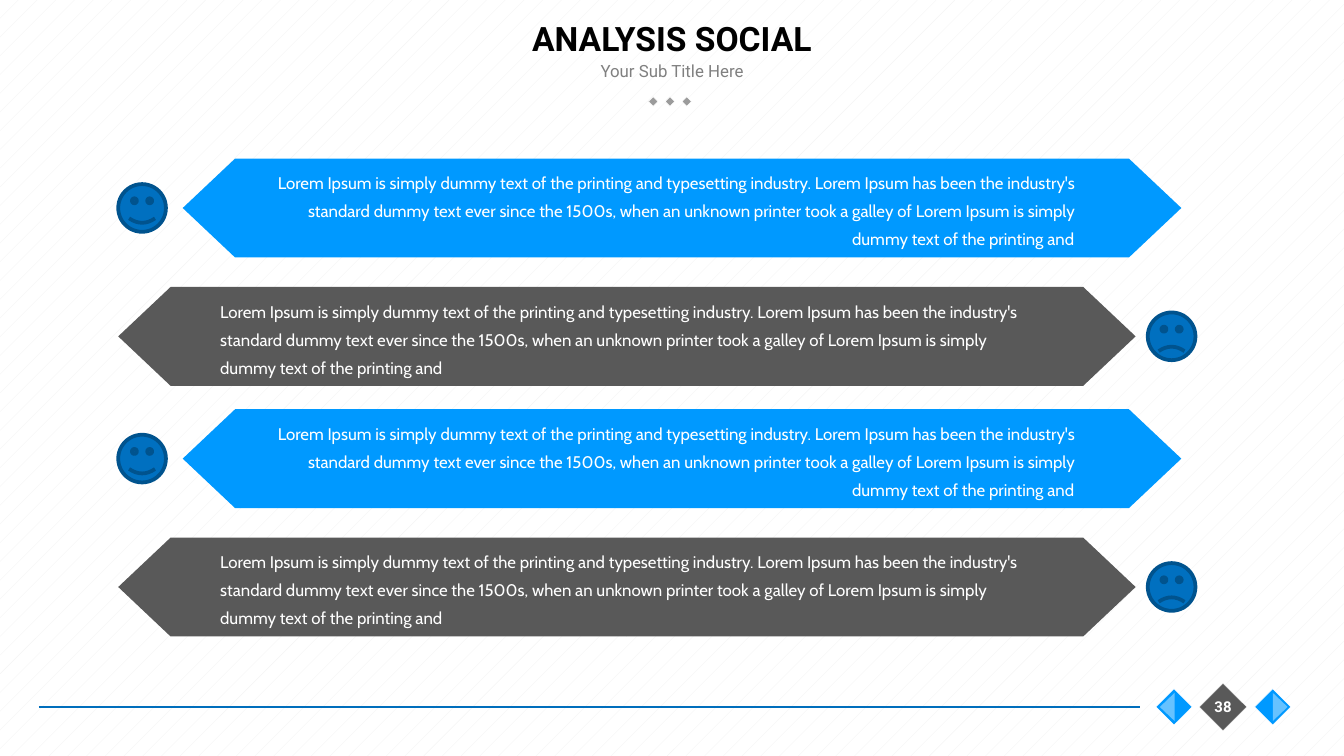
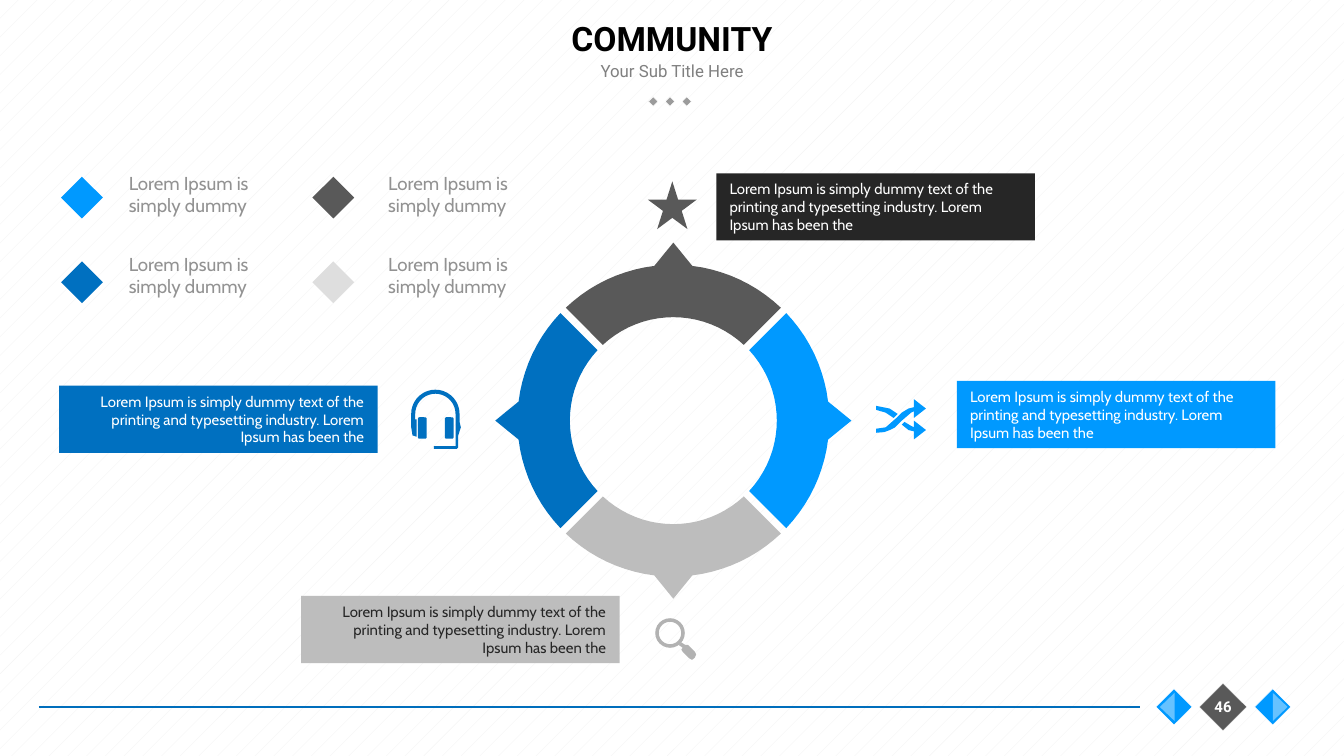
"""Build the social analysis and community slides on a grid of 100 columns of square cells."""
from math import cos, radians, sin

from lxml import etree
from pptx import Presentation
from pptx.dml.color import RGBColor
from pptx.enum.dml import MSO_PATTERN
from pptx.enum.shapes import MSO_CONNECTOR, MSO_SHAPE
from pptx.enum.text import MSO_ANCHOR, MSO_AUTO_SIZE, PP_ALIGN
from pptx.oxml.ns import qn
from pptx.util import Inches, Pt

RECT, TRIANGLE = MSO_SHAPE.RECTANGLE, MSO_SHAPE.FLOWCHART_EXTRACT
ROUNDED, DONUT = MSO_SHAPE.ROUNDED_RECTANGLE, MSO_SHAPE.DONUT
STAR, SMILEY = MSO_SHAPE.STAR_5_POINT, MSO_SHAPE.SMILEY_FACE
LEFT, CENTER, RIGHT = PP_ALIGN.LEFT, PP_ALIGN.CENTER, PP_ALIGN.RIGHT
TOP, MIDDLE = MSO_ANCHOR.TOP, MSO_ANCHOR.MIDDLE

WHITE = RGBColor(0xFF, 0xFF, 0xFF)
BLACK = RGBColor(0x00, 0x00, 0x00)
STRIPE = RGBColor(0xF2, 0xF2, 0xF2)
DOT = RGBColor(0x9B, 0x9B, 0x9B)
SUBTITLE = RGBColor(0x80, 0x80, 0x80)
RULE = RGBColor(0x00, 0x6E, 0xBC)
BLUE = RGBColor(0x00, 0x99, 0xFF)
SKY = RGBColor(0x66, 0xC2, 0xFF)
DEEP = RGBColor(0x00, 0x70, 0xC0)
NAVY = RGBColor(0x00, 0x53, 0x8E)
GRAY = RGBColor(0x59, 0x59, 0x59)
CHARCOAL = RGBColor(0x26, 0x26, 0x26)
SILVER = RGBColor(0xBD, 0xBD, 0xBD)
LENS = RGBColor(0xB2, 0xB2, 0xB2)
PALE = RGBColor(0xDE, 0xDE, 0xDE)
LEGEND = RGBColor(0x92, 0x92, 0x92)

prs = Presentation()
prs.slide_width = Inches(10)
prs.slide_height = prs.slide_width * 9 // 16
CELL = prs.slide_width // 100


def add(s, kind, cells, fill, line=None, weight=0.25, rotation=0):
    """Add a preset shape in a cell box, or a freeform through cell points if kind is None."""
    if kind is None:
        points = [(round(x * CELL), round(y * CELL)) for x, y in cells]
        builder = s.shapes.build_freeform(*points[0])
        builder.add_line_segments(points[1:], close=True)
        sp = builder.convert_to_shape()
    else:
        sp = s.shapes.add_shape(kind, *(round(v * CELL) for v in cells))
    sp.shadow.inherit = False
    sp.rotation = rotation
    sp.fill.solid()
    sp.fill.fore_color.rgb = fill
    if line is None:
        sp.line.fill.background()
    else:
        sp.line.color.rgb = line
        sp.line.width = Pt(weight)
    return sp


def write(s, text, cells, size, color, font="Cabin", align=LEFT, anchor=TOP,
          bold=False, fill=None, spacing=None):
    """Write one paragraph in a text box, or in a filled rectangle if fill is given."""
    if fill is None:
        sp = s.shapes.add_textbox(*(round(v * CELL) for v in cells))
    else:
        sp = add(s, RECT, cells, fill)
    tf = sp.text_frame
    tf.word_wrap = True
    tf.vertical_anchor = anchor
    tf.auto_size = MSO_AUTO_SIZE.SHAPE_TO_FIT_TEXT if anchor == TOP else MSO_AUTO_SIZE.NONE
    p = tf.paragraphs[0]
    p.text = text
    p.alignment = align
    p.line_spacing = spacing
    p.font.size = Pt(size)
    p.font.name = font
    p.font.bold = bold
    p.font.color.rgb = color


slides = []
for title, number in (("ANALYSIS SOCIAL", "38"), ("COMMUNITY", "46")):
    s = prs.slides.add_slide(prs.slide_layouts[6])
    slides.append(s)
    fill = s.background.fill
    fill.patterned()
    fill.pattern = MSO_PATTERN.PERCENT_5
    fill.fore_color.rgb = STRIPE
    fill.back_color.rgb = WHITE

    for i in range(3):
        add(s, RECT, (48.35 + 1.25 * i, 7.3, 0.5, 0.5), DOT, WHITE, rotation=315)
    write(s, "Your Sub Title Here", (37.5, 4, 25, 2.5), 9, SUBTITLE, "Roboto", CENTER, MIDDLE)

    rule = s.shapes.add_connector(MSO_CONNECTOR.STRAIGHT, *(
        round(v * CELL) for v in (2.9, 52.6, 84.8, 52.6)))
    rule.line.color.rgb = RULE
    rule.line.width = Pt(0.75)
    etree.SubElement(rule._element.spPr, qn("a:effectLst"))

    add(s, RECT, (89.75, 51.35, 2.5, 2.5), GRAY, WHITE, rotation=315)
    for diamond, half, rotation in ((93.75, 94.2, 90), (86.4, 85.8, 270)):
        add(s, RECT, (diamond, 51.65, 1.9, 1.9), BLUE, WHITE, rotation=315)
        add(s, TRIANGLE, (half, 52.05, 2.1, 1.1), SKY, rotation=rotation)

    write(s, title, (7.5, 0, 85, 5.6), 18, BLACK, "Roboto", CENTER, MIDDLE, True)
    write(s, number, (88.9, 51.3, 4.2, 2.5), 8, WHITE, "Roboto", CENTER, MIDDLE, True)

social, community = slides

OPINION = ("Lorem Ipsum is simply dummy text of the printing and typesetting industry. "
           "Lorem Ipsum has been the industry's standard dummy text ever since the 1500s, "
           "when an unknown printer took a galley of Lorem Ipsum is simply dummy text of "
           "the printing and")
BAND_H, TIP = 7.36, 3.9
bands = (
    (11.8, 13.6, 87.9, BLUE, 18.3, RIGHT, 8.8, 0.0465),
    (21.35, 8.8, 84.5, GRAY, 15.4, LEFT, 85.4, -0.047),
)
for pair in range(2):
    for first_top, left, right, fill, text_x, align, face_x, smile in bands:
        top = first_top + 18.65 * pair
        middle = (left + right) / 2
        for tip, shoulder in ((left, left + TIP), (right, right - TIP)):
            add(social, None, ((shoulder, top), (tip, top + BAND_H / 2),
                               (shoulder, top + BAND_H), (middle, top + BAND_H),
                               (middle, top)), fill)
        write(social, OPINION, (text_x, top, 62.6, 7.3), 9, WHITE, align=align, spacing=Pt(15))
        face = add(social, SMILEY, (face_x, top + 1.9, 3.55, 3.55), DEEP, NAVY, 2)
        face.adjustments[0] = smile

rising = [-43.6 + 3.66 * k for k in range(11)]
segment = [(11.6, a) for a in rising]
segment += [(13.25, 0)]
segment += [(11.6, -a) for a in reversed(rising)]
segment += [(7.7, 42.9 - 4.29 * k) for k in range(21)]
for turn, fill in ((180, DEEP), (90, SILVER), (270, GRAY), (0, BLUE)):
    add(community, None, [(50.1 + r * cos(radians(turn + a)), 31.3 + r * sin(radians(turn + a)))
                          for r, a in segment], fill)

arch = [(cos(radians(a)), sin(radians(a))) for a in range(180, 361, 10)]
headset = [(31, 32.5), (30.7, 32.4), (30.6, 31.8), (30.6, 31.4)]
headset += [(32.4 + 1.8 * x, 30.8 + 1.8 * y) for x, y in arch]
headset += [(34.2, 31.4), (34.3, 31.8), (34.1, 32.4), (34.1, 33.3), (34, 33.4),
            (32.3, 33.4), (32.3, 33.2), (33.9, 33.2)]
headset += [(32.4 + 1.5 * x, 30.8 + 1.5 * y) for x, y in reversed(arch)]
headset += [(30.9, 31.2), (31, 31.2)]
add(community, None, headset, DEEP)
for x in (31.1, 33.1):
    add(community, ROUNDED, (x, 31.05, 0.65, 1.6), DEEP)

shuffle = (
    ((65.2, 30.2), (66.2, 30.4), (66.8, 30.8), (66.6, 31), (66.5, 31.1), (65.9, 30.7),
     (65.2, 30.5)),
    ((65.2, 31.9), (65.9, 31.8), (66.7, 31.1), (67.1, 30.7), (67.6, 30.4), (68, 30.3),
     (68, 29.7), (68.9, 30.4), (68, 31.1), (68, 30.6), (67.8, 30.7), (67.1, 31.3),
     (66.6, 31.8), (66.2, 32), (65.8, 32.15), (65.2, 32.2)),
    ((67.3, 31.4), (67.8, 31.7), (68, 31.8), (68, 31.3), (68.9, 32), (68, 32.7),
     (68, 32.1), (67.6, 32), (67.1, 31.6)),
)
for arrow in shuffle:
    add(community, None, arrow, BLUE)

add(community, STAR, (48.2, 13.5, 3.65, 3.55), GRAY)
lens = add(community, DONUT, (48.75, 46, 2.2, 2.2), LENS)
lens.adjustments[0] = 0.12
add(community, None, ((50.5, 48), (50.8, 48.2), (50.7, 48.35), (50.8, 48.5), (51.3, 49),
                      (51.5, 49.1), (51.7, 48.95), (51.8, 48.7), (51.7, 48.5), (51.2, 48),
                      (51, 48), (50.7, 47.8)), LENS)

NOTE = ("Lorem Ipsum is simply dummy text of the printing and typesetting industry. "
        "Lorem Ipsum has been the")
for x, y, fill, color, align in (
    (53.3, 12.9, CHARCOAL, WHITE, LEFT),
    (71.2, 28.35, BLUE, WHITE, LEFT),
    (22.4, 44.35, SILVER, CHARCOAL, RIGHT),
    (4.4, 28.7, DEEP, WHITE, RIGHT),
):
    write(community, NOTE, (x, y, 23.7, 5), 8, color, align=align, fill=fill)

for row, fills in enumerate(((BLUE, GRAY), (DEEP, PALE))):
    for col, fill in enumerate(fills):
        add(community, RECT, (5 + 18.7 * col, 13.6 + 6.3 * row, 2.2, 2.2), fill, rotation=225)
        write(community, "Lorem Ipsum is simply dummy",
              (8.6 + 19.3 * col, 12.3 + 6 * row, 12.8, 4.4), 10, LEGEND)

prs.save("out.pptx")
